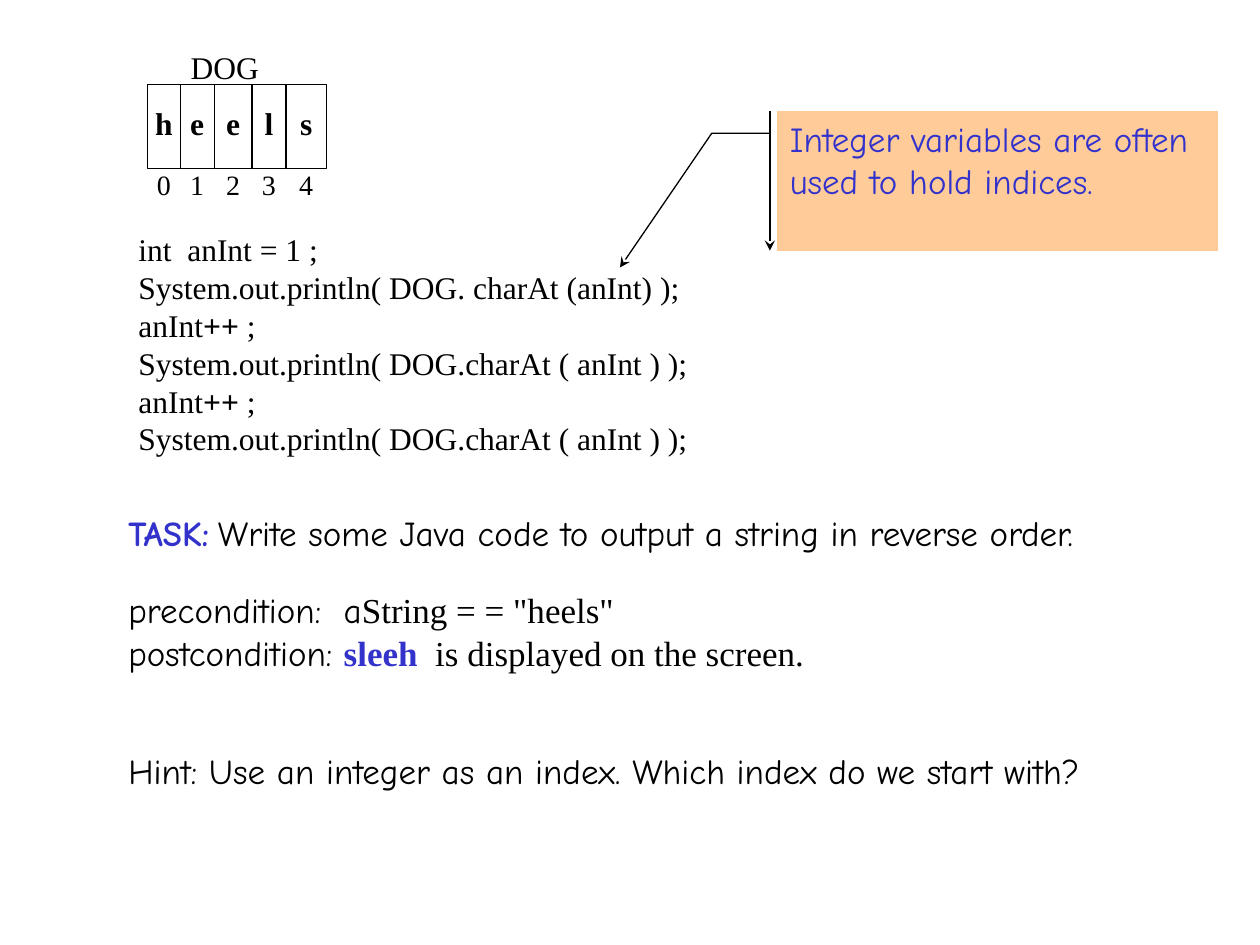
import pptx
import pptx.util
import pptx.dml.color
import pptx.enum.shapes
import pptx.enum.text
import pptx.oxml.ns
import lxml.etree

Inches, Pt = pptx.util.Inches, pptx.util.Pt
ALIGN = pptx.enum.text.PP_ALIGN
SHAPES = pptx.enum.shapes.MSO_SHAPE
qn = pptx.oxml.ns.qn
COLORS = {"ink": "000000", "accent": "3333CC", "note": "FFCC99"}
SERIF, HAND = "Times New Roman", "Comic Neue"

presentation = pptx.Presentation()
presentation.slide_width, presentation.slide_height = Inches(10), Inches(7.5)
slide = presentation.slides.add_slide(presentation.slide_layouts[6])


def rgb(name):
    return pptx.dml.color.RGBColor.from_string(COLORS[name])


def write(shape, lines, size, align=ALIGN.LEFT, pitch=None, before=(), wrap=True):
    """Each line is a list of runs: (text, font, color, bold)."""
    frame = shape.text_frame
    frame.word_wrap = wrap
    frame.vertical_anchor = pptx.enum.text.MSO_ANCHOR.TOP
    for index, runs in enumerate(lines):
        paragraph = frame.add_paragraph() if index else frame.paragraphs[0]
        paragraph.alignment = align
        if pitch:
            paragraph.line_spacing = Pt(pitch)
        if before:
            paragraph.space_before = Pt(before[index])
        for text, font, color, bold in runs:
            run = paragraph.add_run()
            run.text = text
            run.font.name, run.font.size, run.font.bold = font, Pt(size), bold
            run.font.color.rgb = rgb(color)
    return frame


# Code listing
output = [("System.out.println( DOG.charAt ( anInt ) );", SERIF, "ink", False)]
increment = [("anInt", SERIF, "ink", False), ("++ ", SERIF, "ink", True),
             (";", SERIF, "ink", False)]
listing = slide.shapes.add_textbox(Inches(1), Inches(1.78), Inches(4.72), Inches(2.22))
write(listing, [
    [("int  anInt = 1 ;", SERIF, "ink", False)],
    [("System.out.println( DOG. charAt (anInt) );", SERIF, "ink", False)],
    increment, output, increment, output,
], 18, pitch=21.6, wrap=False)

# Callout pointing at the index variable
callout = slide.shapes.add_shape(SHAPES.LINE_CALLOUT_2_ACCENT_BAR,
                                 Inches(6.17), Inches(0.88), Inches(3.5), Inches(1.11))
for index, value in enumerate((0.161, -0.017, 0.161, -0.149, 1.12, -0.357)):
    callout.adjustments[index] = value
callout.shadow.inherit = False
callout.fill.solid()
callout.fill.fore_color.rgb = rgb("note")
callout.line.color.rgb = rgb("ink")
callout.line.width = Pt(0.75)
outline = callout._element.spPr.find(qn("a:ln"))
lxml.etree.SubElement(outline, qn("a:tailEnd"), type="stealth")
write(callout, [[("Integer variables are often used to hold indices.", HAND, "accent", False)]], 20)

# String drawn as a row of cells
edges = [1.17, 1.43, 1.7, 2, 2.27, 2.59]
top, bottom = 0.67, 1.34
frame_box = slide.shapes.add_shape(SHAPES.RECTANGLE, Inches(edges[0]), Inches(top),
                                   Inches(edges[-1] - edges[0]), Inches(bottom - top))
frame_box.shadow.inherit = False
frame_box.fill.background()
frame_box.line.color.rgb = rgb("ink")
frame_box.line.width = Pt(0.75)

for edge in edges[1:-1]:
    divider = slide.shapes.add_connector(pptx.enum.shapes.MSO_CONNECTOR.STRAIGHT,
                                         Inches(edge), Inches(top), Inches(edge), Inches(bottom))
    divider.line.color.rgb = rgb("ink")
    divider.line.width = Pt(0.75)
    lxml.etree.SubElement(divider._element.spPr, qn("a:effectLst"))

# Name above the cells, letters inside, indices below
labels = [("DOG", 1.17, 1.23, 0.33, 18, False)]
for index, letter in enumerate("heels"):
    left, width = edges[index], edges[index + 1] - edges[index]
    labels.append((letter, left, width, 0.78, 18, True))
    labels.append((str(index), left, width, 1.28, 16, False))
for text, left, width, label_top, size, bold in labels:
    label = slide.shapes.add_textbox(Inches(left), Inches(label_top), Inches(width), Inches(0.4))
    label.text_frame.margin_left = label.text_frame.margin_right = 0
    write(label, [[(text, SERIF, "ink", bold)]], size, ALIGN.CENTER)

# Task, conditions and hint
task = slide.shapes.add_textbox(Inches(0.92), Inches(4), Inches(9), Inches(2.93))
task_frame = write(task, [
    [("TASK:", HAND, "accent", True), (" ", SERIF, "ink", False),
     ("Write some Java code to output a string in reverse order.", HAND, "ink", False)],
    [("precondition:\ta", HAND, "ink", False), ('String = = "heels"', SERIF, "ink", False)],
    [("postcondition:\t", HAND, "ink", False), ("sleeh ", SERIF, "accent", True),
     (" is displayed on the screen.", SERIF, "ink", False)],
    [("Hint: Use an integer as an index. Which index do we start with?", HAND, "ink", False)],
], 20, pitch=24.5, before=(0, 20, 0, 43))

# Shared tab stop for the two conditions
for paragraph in task_frame.paragraphs[1:3]:
    properties = paragraph._p.get_or_add_pPr()
    tabs = lxml.etree.SubElement(properties, qn("a:tabLst"))
    lxml.etree.SubElement(tabs, qn("a:tab"), pos=str(Inches(1.71)), algn="l")

presentation.save("out.pptx")
